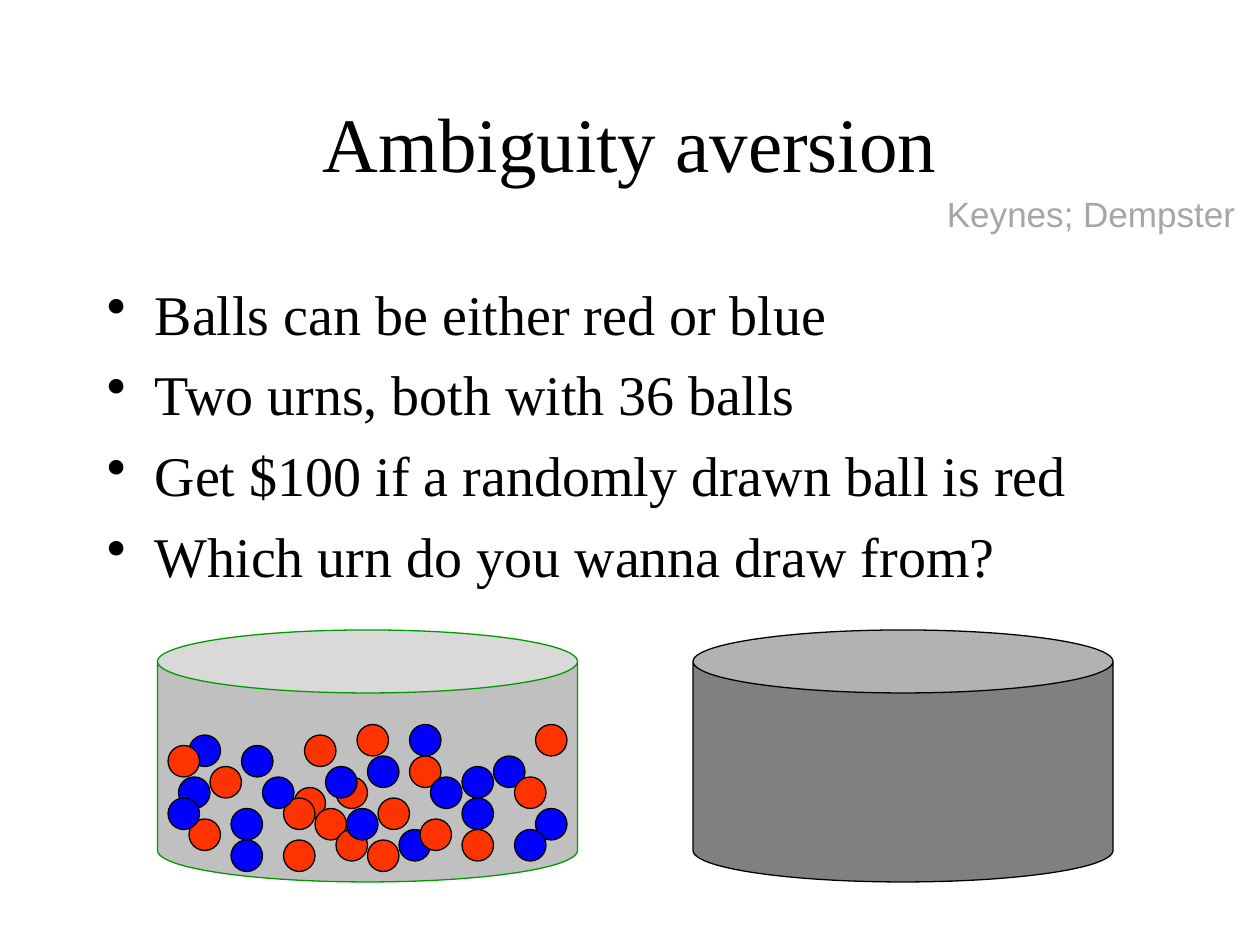
import pptx
import pptx.util
import pptx.dml.color
import pptx.enum.shapes
import pptx.enum.text
import pptx.oxml.ns
from lxml import etree

COLORS = {
    "ink": "000000",
    "credit": "A6A6A6",
    "red": "FF3300",
    "blue": "0000FF",
    "clear_urn": "C0C0C0",
    "clear_edge": "009900",
    "dark_urn": "808080",
}
UNIT = pptx.util.Inches(1) / 12
SERIF = "Times New Roman"
SHAPES = pptx.enum.shapes.MSO_SHAPE
ALIGN = pptx.enum.text.PP_ALIGN
ANCHOR = pptx.enum.text.MSO_ANCHOR
BULLETS = [
    "Balls can be either red or blue",
    "Two urns, both with 36 balls",
    "Get $100 if a randomly drawn ball is red",
    "Which urn do you wanna draw from?",
]
BALL_CELLS = [
    (22, 80), (28, 75), (44, 73), (30, 77), (17, 74), (32, 79),
    (51, 77), (35, 80), (33, 77), (32, 74), (39, 69), (44, 79),
    (49, 79), (36, 76), (18, 70), (16, 71), (35, 72), (51, 69),
    (22, 77), (29, 70), (47, 72), (27, 80), (38, 79), (18, 78),
    (23, 71), (39, 72), (31, 73), (40, 78), (44, 76), (20, 73),
    (16, 76), (49, 74), (41, 74), (27, 76), (25, 74), (34, 69),
]


def color(name):
    """Return the named colour."""
    return pptx.dml.color.RGBColor.from_string(COLORS[name])


def cells(*counts):
    """Turn grid counts into lengths."""
    return [pptx.util.Emu(round(count * UNIT)) for count in counts]


def add_text(page, place, lines, size, face=SERIF, ink="ink", align=ALIGN.LEFT,
             anchor=ANCHOR.TOP, wrap=True, bulleted=False):
    """Add a text box with one paragraph per line."""
    frame = page.shapes.add_textbox(*cells(*place)).text_frame
    frame.word_wrap = wrap
    frame.vertical_anchor = anchor
    for index, line in enumerate(lines):
        para = frame.paragraphs[0] if index == 0 else frame.add_paragraph()
        para.text = line
        para.alignment = align
        if bulleted:
            add_bullet(para)
            para.space_before = pptx.util.Pt(7.8 if index else 0)
        para.font.name = face
        para.font.size = pptx.util.Pt(size)
        para.font.color.rgb = color(ink)
    return frame


def add_bullet(para):
    """Give a paragraph a round bullet and a hanging indent."""
    properties = para._p.get_or_add_pPr()
    indent = pptx.util.Inches(0.38)
    properties.set("marL", str(indent))
    properties.set("indent", str(-indent))
    bullet = etree.SubElement(properties, pptx.oxml.ns.qn("a:buChar"))
    bullet.set("char", "•")


def add_solid(page, kind, place, fill, edge="ink"):
    """Add a filled shape with a thin outline."""
    shape = page.shapes.add_shape(kind, *cells(*place))
    shape.shadow.inherit = False
    shape.fill.solid()
    shape.fill.fore_color.rgb = color(fill)
    shape.line.color.rgb = color(edge)
    shape.line.width = pptx.util.Pt(0.75)
    return shape


def add_urn(page, column, fill, edge):
    """Add an urn at a grid column."""
    urn = add_solid(page, SHAPES.CAN, (column, 60, 40, 24), fill, edge)
    urn.adjustments[0] = 0.25


def add_balls(page):
    """Add the balls, blue and red in turn."""
    for index, (column, row) in enumerate(BALL_CELLS):
        fill = "red" if index % 2 else "blue"
        add_solid(page, SHAPES.OVAL, (column, row, 3, 3), fill)


def main():
    """Build the slide and save it."""
    deck = pptx.Presentation()
    deck.slide_width, deck.slide_height = cells(120, 90)
    page = deck.slides.add_slide(deck.slide_layouts[6])
    add_text(page, (9, 6, 102, 15), ["Ambiguity aversion"], 44,
             align=ALIGN.CENTER, anchor=ANCHOR.MIDDLE)
    add_text(page, (9, 26, 102, 54), BULLETS, 32, bulleted=True)
    add_urn(page, 15, "clear_urn", "clear_edge")
    add_urn(page, 66, "dark_urn", "ink")
    add_balls(page)
    credit = add_text(page, (89, 17.75, 30.1, 5.25), ["Keynes; Dempster"], 20,
                      face="Arial", ink="credit", wrap=False)
    credit.auto_size = pptx.enum.text.MSO_AUTO_SIZE.SHAPE_TO_FIT_TEXT
    deck.save("out.pptx")


if __name__ == "__main__":
    main()
